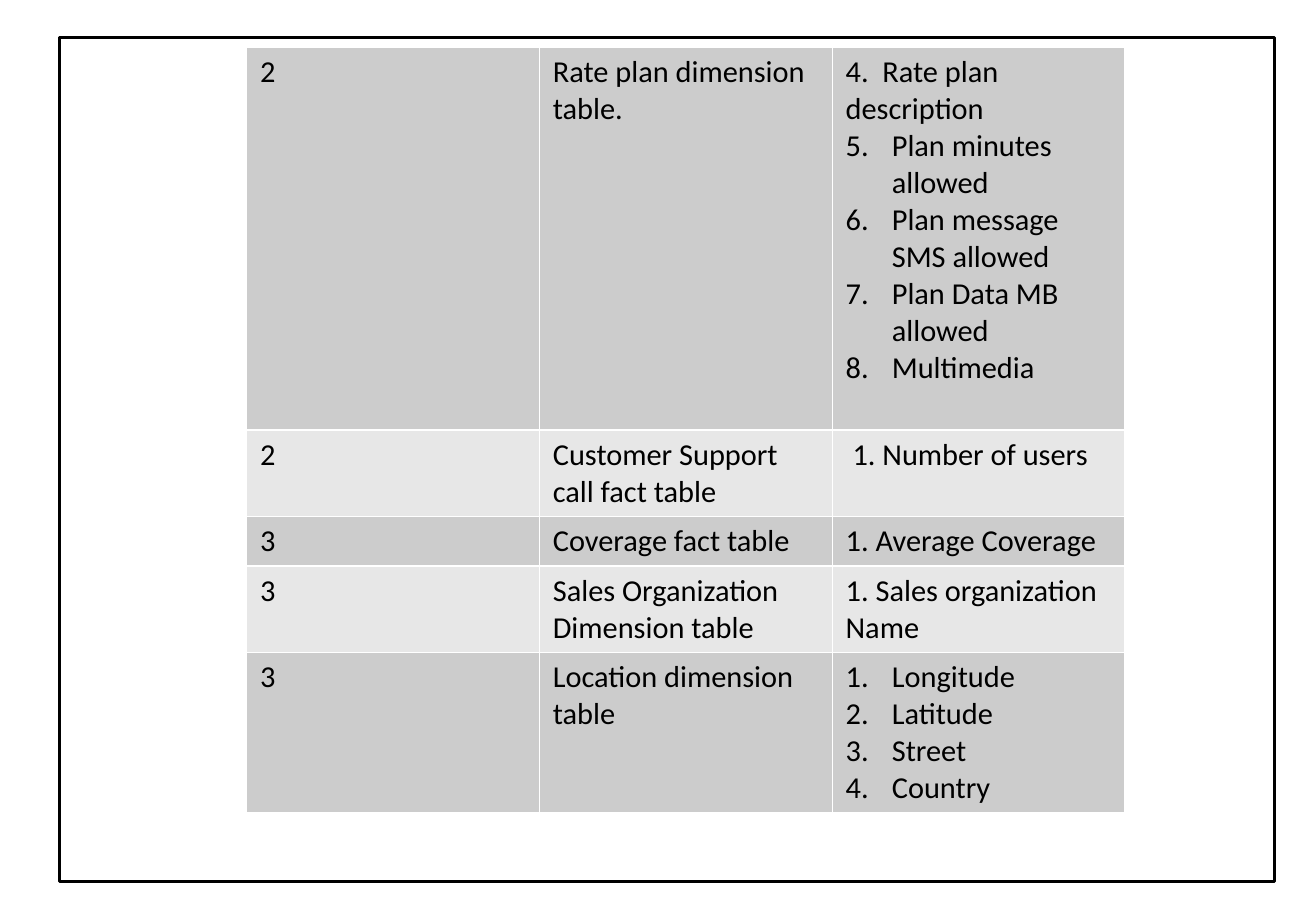
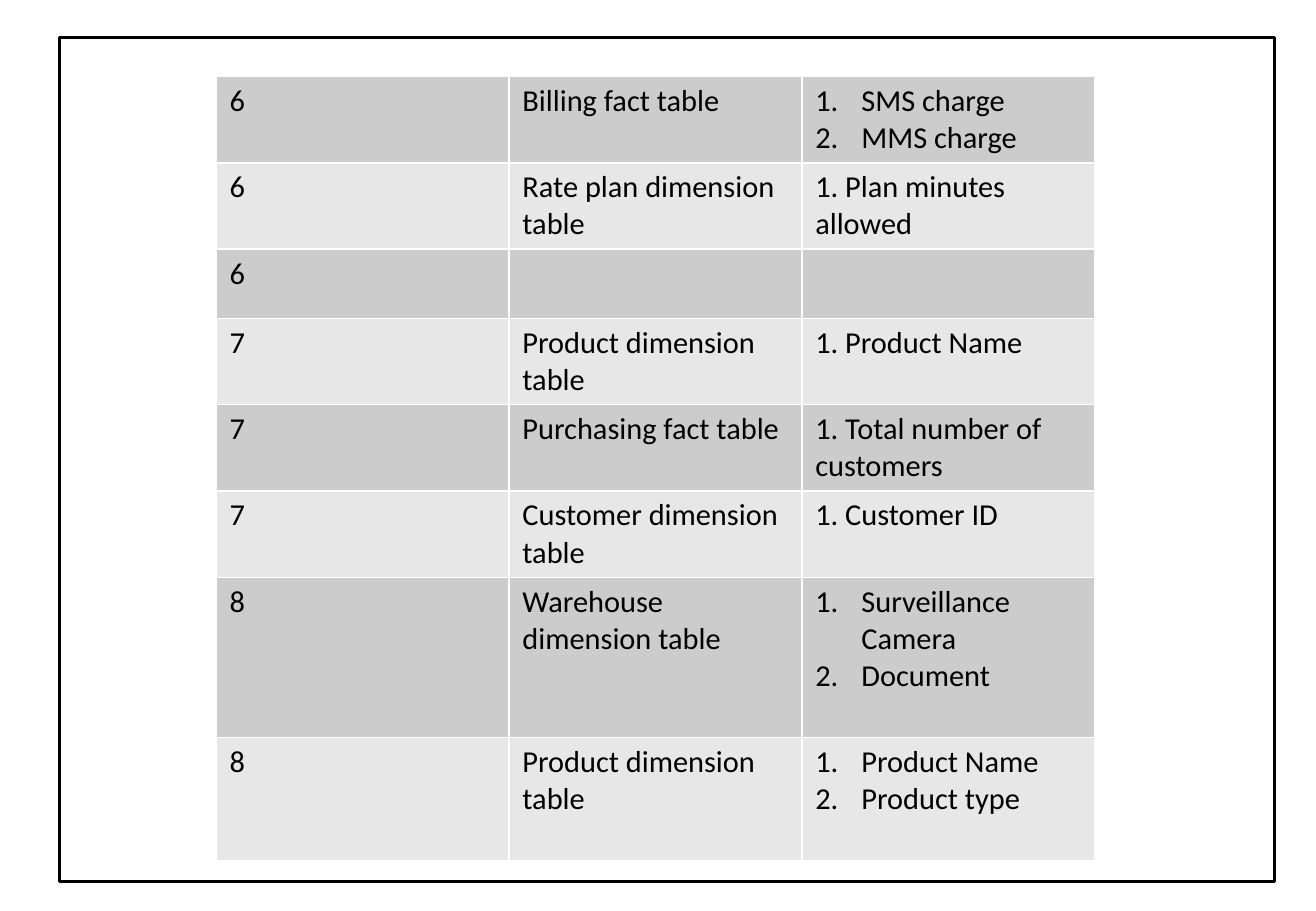
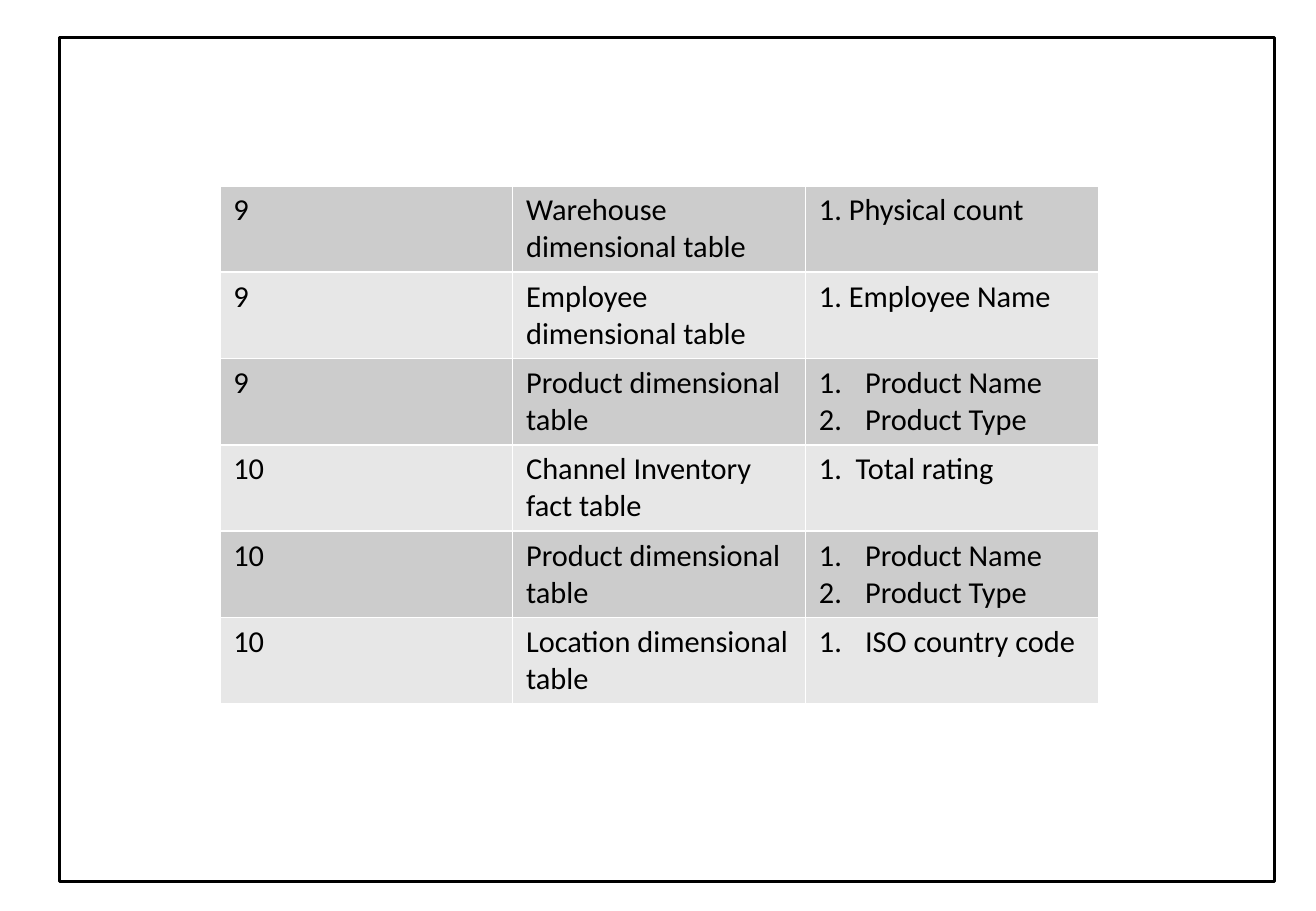
import pptx
import pptx.dml.color
import pptx.enum.shapes
import pptx.oxml
import pptx.oxml.ns
import pptx.util

Inches = pptx.util.Inches
Pt = pptx.util.Pt


def rgb(value):
    return pptx.dml.color.RGBColor.from_string(value)


def add_xml(parent, body):
    tag, rest = body.split(" ", 1)
    ns = pptx.oxml.ns.nsdecls("a")
    parent.append(pptx.oxml.parse_xml(f"<a:{tag} {ns} {rest}"))


BANDS = ["CCCCCC", "E7E7E7"]
FONT = {"name": "Calibri", "size": Pt(18), "bold": False}
MARGINS = {
    "margin_left": Inches(0.11),
    "margin_right": Inches(0.11),
    "margin_top": Inches(0.05),
    "margin_bottom": Inches(0.05),
}
COL_WIDTH = 2.41
ONE_LINE = 0.41
TWO_LINES = 0.71
INDENT = Inches(0.38)

slides = [
    (2.03, 0.39, [
        (3.15, "2", "Rate plan dimension table.",
         ["4.  Rate plan description",
          (5, "Plan minutes allowed"),
          (5, "Plan message SMS allowed"),
          (5, "Plan Data MB allowed"),
          (5, "Multimedia")]),
        (TWO_LINES, "2", "Customer Support call fact table", [" 1. Number of users"]),
        (ONE_LINE, "3", "Coverage fact table", ["1. Average Coverage"]),
        (TWO_LINES, "3", "Sales Organization Dimension table",
         ["1. Sales organization Name"]),
        (1.31, "3", "Location dimension table",
         [(1, "Longitude"), (1, "Latitude"), (1, "Street"), (1, "Country")]),
    ]),
    (1.78, 0.63, [
        (TWO_LINES, "6", "Billing fact table", [(1, "SMS charge"), (1, "MMS charge")]),
        (TWO_LINES, "6", "Rate plan dimension table", ["1. Plan minutes allowed"]),
        (0.57, "6", "", [""]),
        (TWO_LINES, "7", "Product dimension table", ["1. Product Name"]),
        (TWO_LINES, "7", "Purchasing fact table", ["1. Total number of customers"]),
        (TWO_LINES, "7", "Customer dimension table", ["1. Customer ID"]),
        (1.32, "8", "Warehouse dimension table",
         [(1, "Surveillance Camera"), (1, "Document")]),
        (1.01, "8", "Product dimension table",
         [(1, "Product Name"), (1, "Product type")]),
    ]),
    (1.81, 1.53, [
        (TWO_LINES, "9", "Warehouse dimensional table", ["1. Physical count"]),
        (TWO_LINES, "9", "Employee dimensional table", ["1. Employee Name"]),
        (TWO_LINES, "9", "Product dimensional table",
         [(1, "Product Name"), (1, "Product Type")]),
        (TWO_LINES, "10", "Channel Inventory fact table", ["1.  Total rating"]),
        (TWO_LINES, "10", "Product dimensional table",
         [(1, "Product Name"), (1, "Product Type")]),
        (TWO_LINES, "10", "Location dimensional table", [(1, "ISO country code")]),
    ]),
]

prs = pptx.Presentation()
prs.slide_width = Inches(10.83)
prs.slide_height = Inches(7.5)

for left, top, rows in slides:
    s = prs.slides.add_slide(prs.slide_layouts[6])

    frame = s.shapes.add_shape(
        pptx.enum.shapes.MSO_SHAPE.RECTANGLE,
        Inches(0.49), Inches(0.31), Inches(10), Inches(6.95))
    frame.shadow.inherit = False
    frame.fill.solid()
    frame.fill.fore_color.rgb = rgb("FFFFFF")
    frame.line.color.rgb = rgb("000000")
    frame.line.width = Pt(2)

    height = sum(row[0] for row in rows)
    table = s.shapes.add_table(
        len(rows), 3, Inches(left), Inches(top),
        Inches(3 * COL_WIDTH), Inches(height)).table
    table.first_row = False
    table.horz_banding = False
    for column in table.columns:
        column.width = Inches(COL_WIDTH)

    for i, (row_height, number, name, attributes) in enumerate(rows):
        table.rows[i].height = Inches(row_height)
        for j, lines in enumerate([[number], [name], attributes]):
            cell = table.cell(i, j)
            for key, value in MARGINS.items():
                setattr(cell, key, value)
            tcPr = cell._tc.get_or_add_tcPr()
            for side in "LRTB":
                add_xml(tcPr, f'ln{side} w="{Pt(1)}"><a:solidFill><a:srgbClr val="FFFFFF"/>'
                              f"</a:solidFill></a:ln{side}>")
            cell.fill.solid()
            cell.fill.fore_color.rgb = rgb(BANDS[i % 2])

            tf = cell.text_frame
            for k, line in enumerate(lines):
                p = tf.paragraphs[0] if k == 0 else tf.add_paragraph()
                start, text = line if isinstance(line, tuple) else (None, line)
                if start:
                    pPr = p._p.get_or_add_pPr()
                    pPr.set("marL", str(INDENT))
                    pPr.set("indent", str(-INDENT))
                    add_xml(pPr, 'buFont typeface="+mj-lt"/>')
                    add_xml(pPr, f'buAutoNum type="arabicPeriod" startAt="{start}"/>')
                if text:
                    r = p.add_run()
                    r.text = text
                    for key, value in FONT.items():
                        setattr(r.font, key, value)
                    r.font.color.rgb = rgb("000000")

prs.save("out.pptx")
